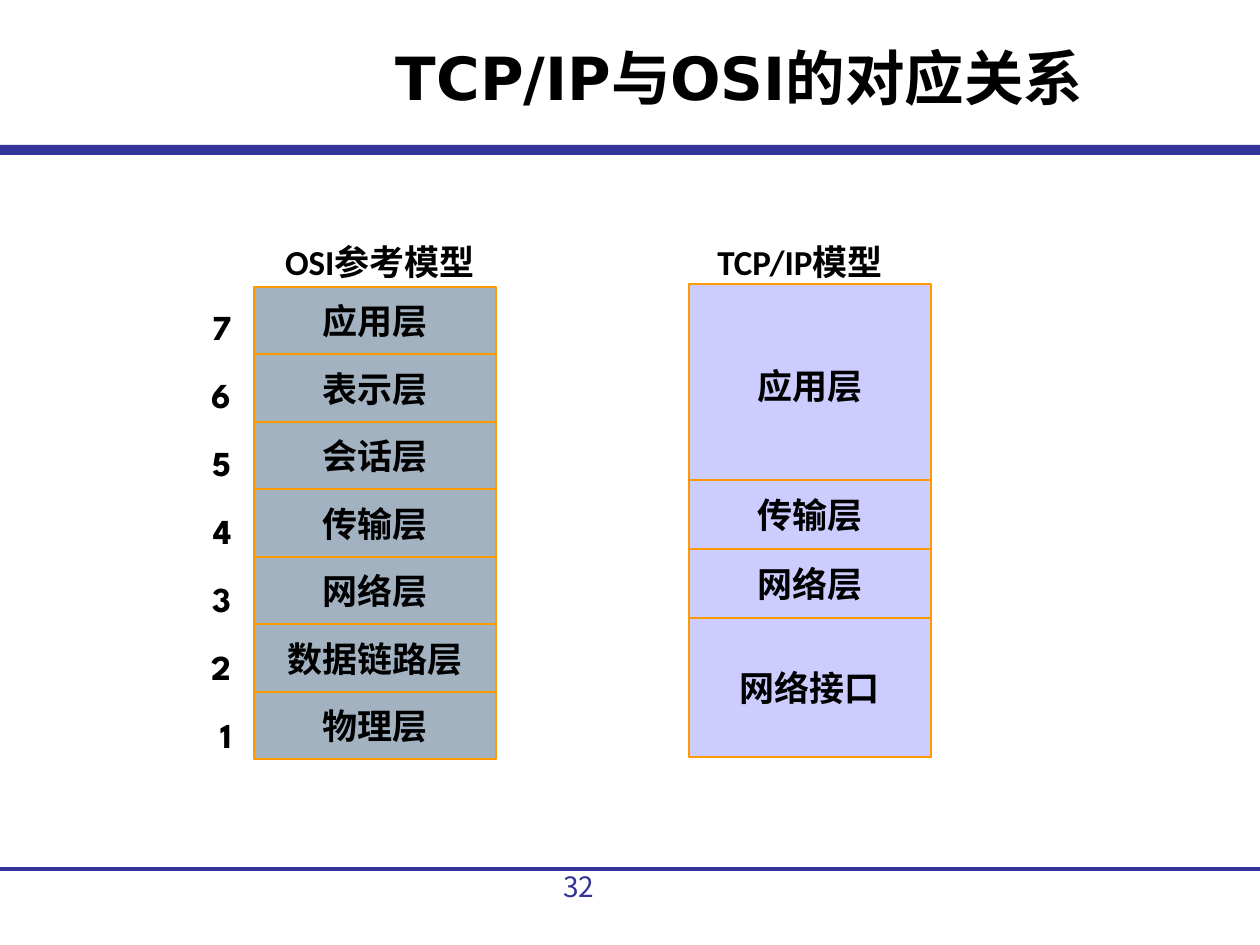
from dataclasses import dataclass

from lxml import etree
from pptx import Presentation
from pptx.dml.color import RGBColor
from pptx.enum.shapes import MSO_CONNECTOR, MSO_SHAPE
from pptx.enum.text import MSO_ANCHOR, PP_ALIGN
from pptx.oxml.ns import qn
from pptx.util import Emu, Pt

RECTANGLE = MSO_SHAPE.RECTANGLE
STRAIGHT = MSO_CONNECTOR.STRAIGHT
MIDDLE = MSO_ANCHOR.MIDDLE
LEFT, CENTER, RIGHT = PP_ALIGN.LEFT, PP_ALIGN.CENTER, PP_ALIGN.RIGHT

PX_PER_INCH = 126
SLIDE_WIDTH, SLIDE_HEIGHT = 1260, 945


@dataclass(frozen=True)
class Theme:
    navy: RGBColor = RGBColor(0x33, 0x33, 0x99)
    black: RGBColor = RGBColor(0, 0, 0)
    osi_fill: RGBColor = RGBColor(0xA3, 0xB2, 0xC1)
    tcp_fill: RGBColor = RGBColor(0xCC, 0xCC, 0xFF)
    border: RGBColor = RGBColor(0xFF, 0x99, 0x00)
    title_font: str = "DejaVu Sans"
    body_font: str = "Calibri"
    number_font: str = "League Spartan"
    page_font: str = "Noto Sans CJK SC"
    title_size: int = 34
    body_size: int = 20
    page_size: int = 16
    space_before: float = 12.5


THEME = Theme()

OSI_LAYERS = ["应用层", "表示层", "会话层", "传输层", "网络层", "数据链路层", "物理层"]
# Name, top within the stack, height; the first box runs a little under the second.
TCP_LAYERS = [
    ("应用层", 0, 204),
    ("传输层", 196, 69),
    ("网络层", 265, 69),
    ("网络接口", 334, 139),
]


def px(length):
    return Emu(round(length * 914400 / PX_PER_INCH))


def style(paragraph, font_name, size, color=THEME.black, bold=True, align=CENTER):
    paragraph.alignment = align
    font = paragraph.font
    font.name, font.size, font.bold = font_name, Pt(size), bold
    font.color.rgb = color


def add_text(slide, box, lines, *styling, space_before=0, line_spacing=None, **options):
    text_box = slide.shapes.add_textbox(*map(px, box))
    frame = text_box.text_frame
    frame.word_wrap = True
    frame.text = "\n".join(lines)
    for paragraph in frame.paragraphs:
        style(paragraph, *styling, **options)
        paragraph.space_before = Pt(space_before)
        paragraph.line_spacing = line_spacing


def add_rectangle(shapes, box, fill):
    shape = shapes.add_shape(RECTANGLE, *map(px, box))
    shape.shadow.inherit = False
    shape.fill.solid()
    shape.fill.fore_color.rgb = fill
    shape.line.fill.background()
    return shape


def add_layer(shapes, box, name, fill):
    shape = add_rectangle(shapes, box, fill)
    shape.line.color.rgb = THEME.border
    shape.line.width = Pt(1)
    frame = shape.text_frame
    frame.word_wrap = False
    frame.vertical_anchor = MIDDLE
    frame.text = name
    style(frame.paragraphs[0], THEME.body_font, THEME.body_size)


def add_stack(slide, box, layers, fill):
    """Group a column of (name, top, height) layers at the top left of the box."""
    left, top, width, _ = box
    group = slide.shapes.add_group_shape()
    for name, offset, height in layers:
        add_layer(group.shapes, (left, top + offset, width, height), name, fill)


def add_heading(slide, box, text):
    add_text(slide, box, [text], THEME.body_font, THEME.body_size,
             space_before=THEME.space_before)


def add_osi_model(slide, box):
    left, top, width, height = box
    count = len(OSI_LAYERS)
    edges = [round(index * height / count) for index in range(count + 1)]
    layers = [
        (name, start, end - start)
        for name, start, end in zip(OSI_LAYERS, edges, edges[1:])
    ]
    add_stack(slide, box, layers, THEME.osi_fill)
    numbers = [str(number) for number in range(count, 0, -1)]
    add_text(slide, (left - 63, top + 8, 53, height - 5), numbers,
             THEME.number_font, THEME.body_size, align=RIGHT,
             space_before=THEME.space_before, line_spacing=1.1)
    add_heading(slide, (left - 21, top - 53, width + 52, 55), "OSI参考模型")


def add_tcp_model(slide, box):
    left, top, width, _ = box
    add_stack(slide, box, TCP_LAYERS, THEME.tcp_fill)
    add_heading(slide, (left - 36, top - 50, width + 52, 55), "TCP/IP模型")


def add_header(slide, box):
    left, top, width, height = box
    add_rectangle(slide.shapes, (left, top + height - 10, width, 10), THEME.navy)
    add_text(slide, (left + 253, top + 35, 973, 89), ["TCP/IP与OSI的对应关系"],
             THEME.title_font, THEME.title_size)


def add_footer(slide, box):
    left, top, width, _ = box
    rule = slide.shapes.add_connector(
        STRAIGHT, px(left), px(top), px(left + width), px(top))
    rule.line.color.rgb = THEME.navy
    rule.line.width = Pt(2.25)
    etree.SubElement(rule._element.spPr, qn("a:effectLst"))
    add_text(slide, (left + 551, top - 6, 139, 66), ["32"], THEME.page_font,
             THEME.page_size, color=THEME.navy, bold=False, align=LEFT)


def main():
    presentation = Presentation()
    presentation.slide_width = px(SLIDE_WIDTH)
    presentation.slide_height = px(SLIDE_HEIGHT)
    slide = presentation.slides.add_slide(presentation.slide_layouts[6])
    add_header(slide, (0, 0, SLIDE_WIDTH, 155))
    add_footer(slide, (0, 869, SLIDE_WIDTH, 76))
    add_osi_model(slide, (254, 287, 242, 472))
    add_tcp_model(slide, (689, 284, 242, 473))
    presentation.save("out.pptx")


if __name__ == "__main__":
    main()
